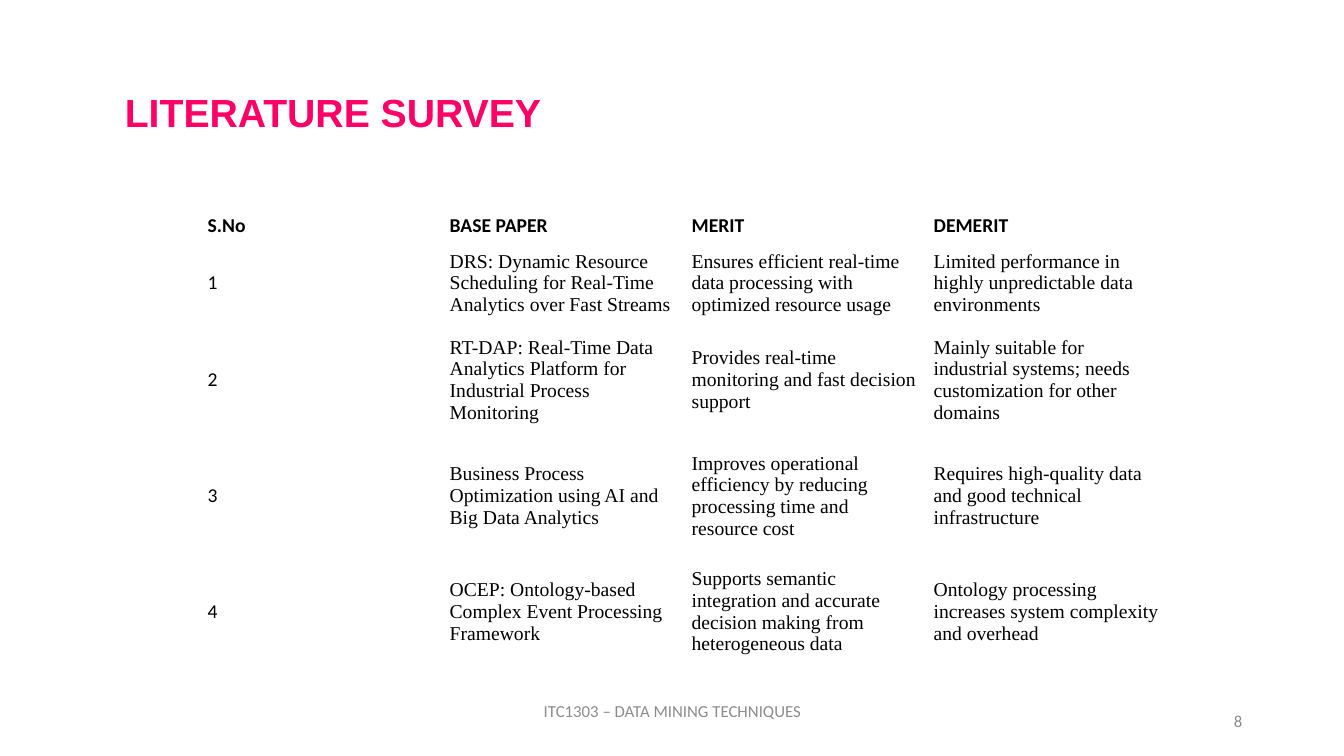
from dataclasses import dataclass

from pptx import Presentation
from pptx.dml.color import RGBColor
from pptx.enum.text import MSO_ANCHOR as Anchor, PP_ALIGN as Align
from pptx.util import Inches, Pt


@dataclass(frozen=True)
class Theme:
    heading: RGBColor = RGBColor(0xFF, 0x00, 0x66)
    body: RGBColor = RGBColor(0x00, 0x00, 0x00)
    muted: RGBColor = RGBColor(0x8C, 0x8C, 0x8C)
    heading_font: str = "Arial"
    label_font: str = "Calibri"
    paper_font: str = "Times New Roman"
    heading_size: int = 28
    table_size: int = 14
    footer_size: int = 12


THEME = Theme()
HEADERS = ("S.No", "BASE PAPER", "MERIT", "DEMERIT")
PAPERS = (
    ("DRS: Dynamic Resource Scheduling for Real-Time Analytics over Fast Streams",
     "Ensures efficient real-time data processing with optimized resource usage",
     "Limited performance in highly unpredictable data environments"),
    ("RT-DAP: Real-Time Data Analytics Platform for Industrial Process Monitoring",
     "Provides real-time monitoring and fast decision support",
     "Mainly suitable for industrial systems; needs customization for other domains"),
    ("Business Process Optimization using AI and Big Data Analytics",
     "Improves operational efficiency by reducing processing time and resource cost",
     "Requires high-quality data and good technical infrastructure"),
    ("OCEP: Ontology-based Complex Event Processing Framework",
     "Supports semantic integration and accurate decision making from heterogeneous data",
     "Ontology processing increases system complexity and overhead"),
)
COLUMN_WIDTH = 2.4
ROW_HEIGHTS = (0.33, 0.82, 1.1, 1.2, 1.1)


def add_run(paragraph, text, font, size, color, bold=False):
    run = paragraph.add_run()
    run.text = text
    run.font.name = font
    run.font.size = Pt(size)
    run.font.color.rgb = color
    run.font.bold = bold


def add_text(slide, bounds, text, font, size, color, bold=False,
             align=Align.LEFT, anchor=Anchor.TOP, top_inset=0.05):
    frame = slide.shapes.add_textbox(*map(Inches, bounds)).text_frame
    frame.word_wrap = True
    frame.vertical_anchor = anchor
    frame.margin_top = Inches(top_inset)
    frame.paragraphs[0].alignment = align
    add_run(frame.paragraphs[0], text, font, size, color, bold)


def fill_cell(cell, text, font, bold):
    cell.fill.background()
    cell.vertical_anchor = Anchor.MIDDLE
    cell.margin_left = cell.margin_right = Inches(0.08)
    cell.margin_top = cell.margin_bottom = Inches(0.04)
    add_run(cell.text_frame.paragraphs[0], text, font, THEME.table_size, THEME.body, bold)


def add_survey(slide, left, top):
    rows = [HEADERS] + [(str(number), *paper) for number, paper in enumerate(PAPERS, 1)]
    survey = slide.shapes.add_table(
        len(rows), len(HEADERS), Inches(left), Inches(top),
        Inches(COLUMN_WIDTH * len(HEADERS)), Inches(sum(ROW_HEIGHTS))).table
    survey.horz_banding = False
    for column in survey.columns:
        column.width = Inches(COLUMN_WIDTH)
    for r, (row, height) in enumerate(zip(rows, ROW_HEIGHTS)):
        survey.rows[r].height = Inches(height)
        for c, text in enumerate(row):
            is_label = r == 0 or c == 0
            font = THEME.label_font if is_label else THEME.paper_font
            fill_cell(survey.cell(r, c), text, font, bold=r == 0)


def main():
    deck = Presentation()
    deck.slide_width, deck.slide_height = Inches(13.33), Inches(7.5)
    slide = deck.slides.add_slide(deck.slide_layouts[6])
    footer_style = (THEME.label_font, THEME.footer_size, THEME.muted)
    add_text(slide, (4.42, 6.95, 4.5, 0.4), "ITC1303 – DATA MINING TECHNIQUES",
             *footer_style, align=Align.CENTER, top_inset=0)
    add_text(slide, (9.42, 6.95, 3, 0.4), "8", *footer_style,
             align=Align.RIGHT, anchor=Anchor.MIDDLE)
    add_text(slide, (1.14, 0.83, 6.67, 1.04), "LITERATURE SURVEY",
             THEME.heading_font, THEME.heading_size, THEME.heading, bold=True)
    add_survey(slide, 1.98, 2.07)
    deck.save("out.pptx")


if __name__ == "__main__":
    main()
